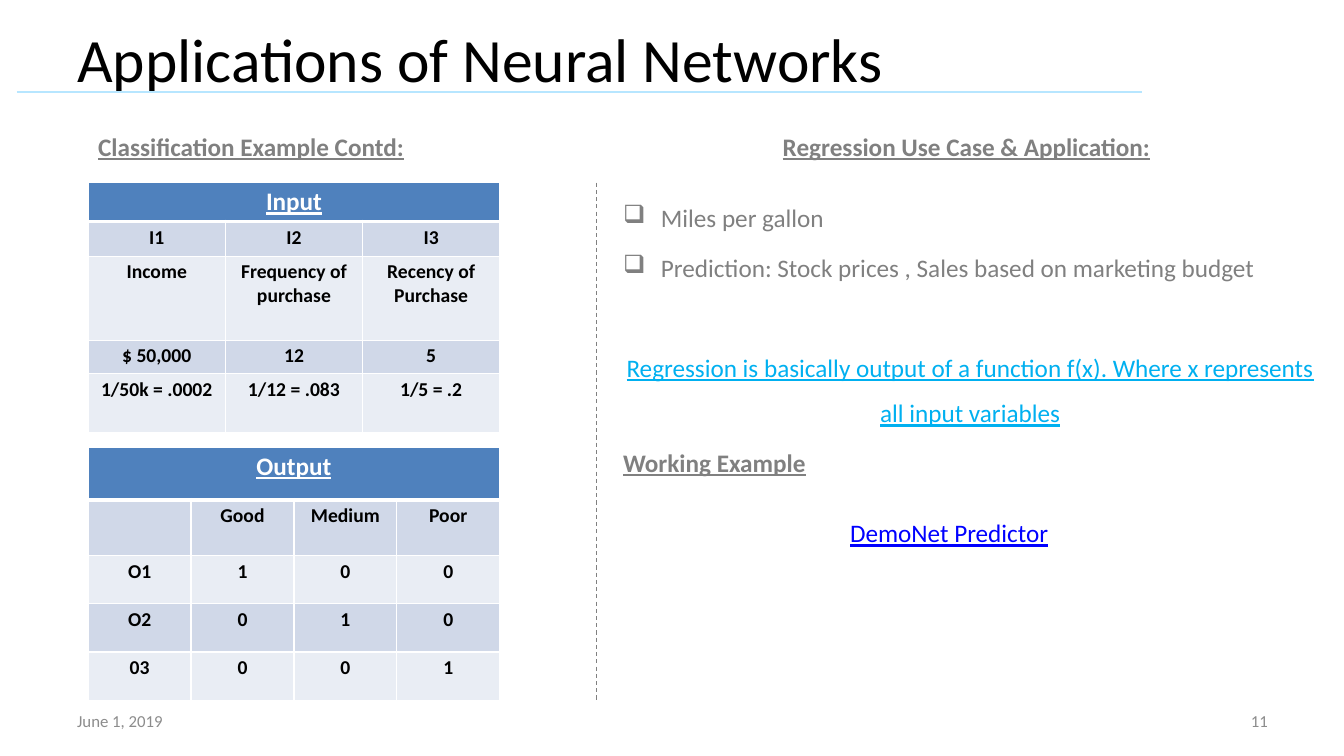
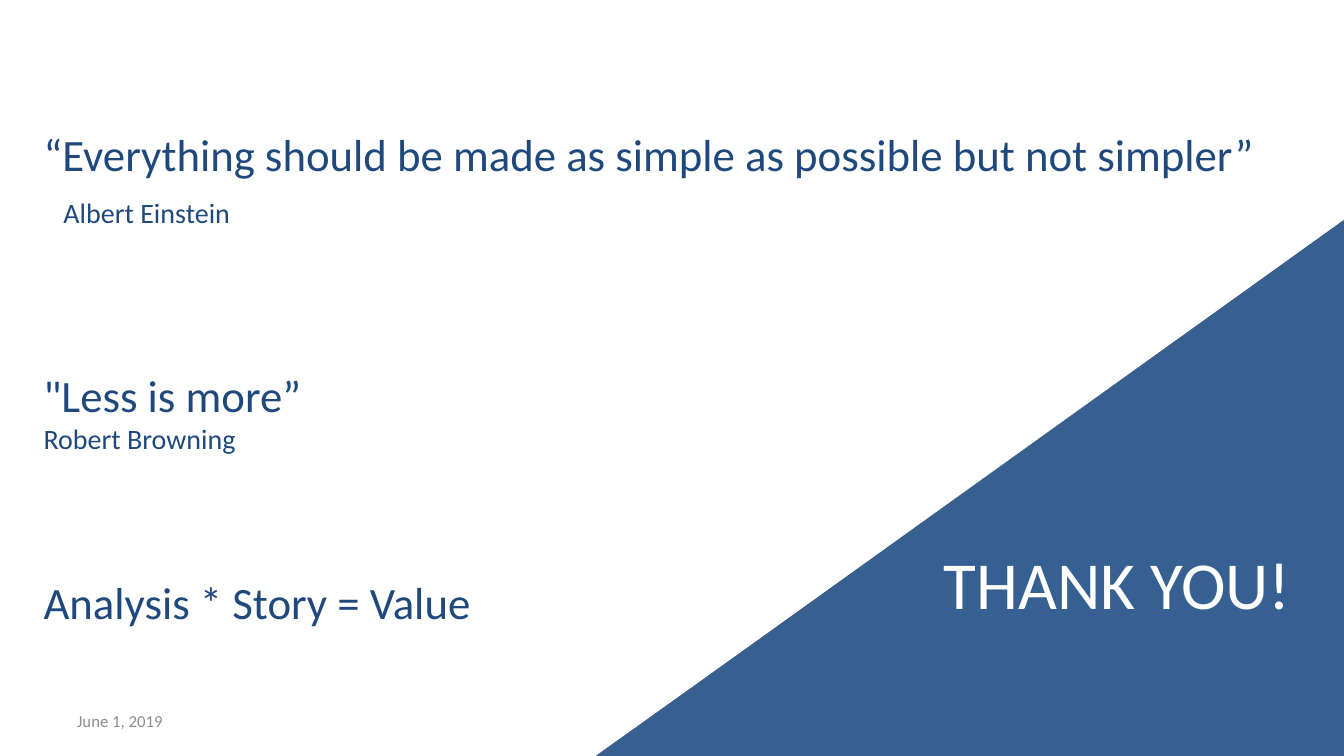
from lxml import etree
from pptx import Presentation
from pptx.dml.color import RGBColor
from pptx.enum.dml import MSO_LINE
from pptx.enum.shapes import MSO_CONNECTOR
from pptx.enum.text import MSO_ANCHOR, PP_ALIGN
from pptx.oxml.ns import qn
from pptx.util import Emu, Pt

LEFT, CENTER, RIGHT = PP_ALIGN.LEFT, PP_ALIGN.CENTER, PP_ALIGN.RIGHT
TOP, MIDDLE = MSO_ANCHOR.TOP, MSO_ANCHOR.MIDDLE
STRAIGHT, DASH = MSO_CONNECTOR.STRAIGHT, MSO_LINE.DASH

FONT = "Calibri"
COLORS = {
    "black": "000000",
    "white": "FFFFFF",
    "grey": "808080",
    "footer": "8C8C8C",
    "rule": "B7E6FF",
    "header": "4F81BD",
    "band_dark": "D0D8E8",
    "band_light": "E9EDF4",
    "highlight": "00B0F0",
    "link": "0000FF",
    "navy": "1F497D",
    "corner": "376092",
    "corner_edge": "3A5F8C",
    "diagonal": "4B7EBC",
}


def px(length):
    return Emu(length * 9525)


def rgb(name):
    return RGBColor.from_string(COLORS[name])


class Deck:
    """Holds the shared style and the slide being built."""

    def __init__(self):
        self.prs = Presentation()
        self.prs.slide_width, self.prs.slide_height = px(1280), px(720)
        self.slide = None

    def new_slide(self, number=None):
        self.slide = self.prs.slides.add_slide(self.prs.slide_layouts[6])
        self.text((64, 667, 299, 38), "June 1, 2019", 12, "footer", anchor=MIDDLE)
        if number:
            self.text((918, 667, 299, 38), number, 12, "footer", RIGHT, MIDDLE)

    def title(self, title):
        self.text((64, 9, 1122, 93), title, 44, "black", anchor=MIDDLE)
        self.line((16, 88), (1088, 88), "rule", 1.5)

    def heading(self, box, heading):
        self.text(box, heading, 18, "grey", bold=True, underline=True)

    def frame(self, box, anchor=TOP):
        frame = self.slide.shapes.add_textbox(*map(px, box)).text_frame
        frame.word_wrap = True
        frame.vertical_anchor = anchor
        return frame

    def text(self, box, text, size, color, align=LEFT, anchor=TOP, **look):
        paragraph = self.frame(box, anchor).paragraphs[0]
        self.set_paragraph(paragraph, text, size, color, align, **look)

    def paragraphs(self, box, items, line_spacing=1.0):
        """Stack paragraphs; each item is a dict of set_paragraph() arguments."""
        frame = self.frame(box)
        for index, item in enumerate(items):
            paragraph = frame.add_paragraph() if index else frame.paragraphs[0]
            paragraph.line_spacing = line_spacing
            self.set_paragraph(paragraph, **item)

    def set_paragraph(self, paragraph, text, size, color, align=LEFT, bold=False,
                      underline=False, before=0, indent=0, bullet=None):
        paragraph.text = text
        paragraph.alignment = align
        paragraph.space_before = Pt(before)
        for run in paragraph.runs:
            font = run.font
            font.name, font.size = FONT, Pt(size)
            font.bold, font.underline = bold, underline
            font.color.rgb = rgb(color)
        properties = paragraph._p.get_or_add_pPr()
        if indent:
            properties.set("marL", str(px(indent)))
        if bullet:
            properties.set("indent", str(-px(indent)))
            etree.SubElement(properties, qn("a:buChar"), char=bullet)

    def line(self, start, end, color, width, dash=None):
        line = self.slide.shapes.add_connector(STRAIGHT, *map(px, start + end))
        line.line.color.rgb = rgb(color)
        line.line.width = Pt(width)
        if dash:
            line.line.dash_style = dash
        etree.SubElement(line._element.spPr, qn("a:effectLst"))

    def polygon(self, points, fill, edge, width):
        first, *rest = [tuple(map(px, point)) for point in points]
        builder = self.slide.shapes.build_freeform(*first)
        builder.add_line_segments(rest, close=True)
        shape = builder.convert_to_shape()
        shape.shadow.inherit = False
        shape.fill.solid()
        shape.fill.fore_color.rgb = rgb(fill)
        shape.line.color.rgb = rgb(edge)
        shape.line.width = Pt(width)

    def table(self, left, top, width, heights, header, rows):
        """Draw a banded table under one header that spans every column."""
        columns = len(rows[0])
        table = self.slide.shapes.add_table(
            len(heights), columns, px(left), px(top), px(width), px(sum(heights))).table
        table.horz_banding = False
        for column in table.columns:
            column.width = px(width) // columns
        for row, height in zip(table.rows, heights):
            row.height = px(height)
        table.cell(0, 0).merge(table.cell(0, columns - 1))
        for r, values in enumerate([[header] + [""] * (columns - 1)] + rows):
            fill = "header" if r == 0 else "band_dark" if r % 2 else "band_light"
            for c, value in enumerate(values):
                cell = table.cell(r, c)
                cell.margin_top = cell.margin_bottom = px(4)
                self.borders(cell, top=3 if r == 1 else 1, bottom=3 if r == 0 else 1)
                cell.fill.solid()
                cell.fill.fore_color.rgb = rgb(fill)
                size, color = (14, "black") if r else (18, "white")
                self.set_paragraph(cell.text_frame.paragraphs[0], value, size, color,
                                   CENTER, bold=True, underline=r == 0)

    def borders(self, cell, top, bottom):
        properties = cell._tc.get_or_add_tcPr()
        for side, width in (("L", 1), ("R", 1), ("T", top), ("B", bottom)):
            border = etree.SubElement(properties, qn("a:ln" + side), w=str(Pt(width)))
            fill = etree.SubElement(border, qn("a:solidFill"))
            etree.SubElement(fill, qn("a:srgbClr"), val=COLORS["white"])


def applications(deck):
    deck.new_slide("11")
    deck.title("Applications of Neural Networks")
    deck.heading((84, 120, 330, 38), "Classification Example Contd:")
    deck.heading((736, 120, 390, 38), "Regression Use Case & Application:")
    deck.table(84, 174, 392, [37, 33, 80, 32, 56], "Input", [
        ["I1", "I2", "I3"],
        ["Income", "Frequency of purchase", "Recency of Purchase"],
        ["$ 50,000", "12", "5"],
        ["1/50k = .0002", "1/12 = .083", "1/5 = .2"],
    ])
    deck.table(84, 426, 392, [50, 53, 46, 46, 46], "Output", [
        ["", "Good", "Medium", "Poor"],
        ["O1", "1", "0", "0"],
        ["O2", "0", "1", "0"],
        ["03", "0", "0", "1"],
    ])
    deck.line((568, 174), (568, 667), "grey", 0.75, DASH)
    body = dict(size=18, color="grey", before=3)
    point = dict(body, indent=36, bullet="❑")
    deck.paragraphs((584, 174, 680, 422), [
        dict(point, text="Miles per gallon"),
        dict(point, text="Prediction: Stock prices , Sales based on marketing budget"),
        dict(text="Regression is basically output of a function f(x). "
                  "Where x represents all input variables",
             size=18, color="highlight", align=CENTER, underline=True, before=39),
        dict(body, text="Working Example", bold=True, underline=True),
    ], line_spacing=1.5)
    deck.text((768, 488, 272, 38), "DemoNet Predictor", 18, "link", CENTER, underline=True)


def closing(deck):
    deck.new_slide()
    quote = dict(size=32, color="navy")
    author = dict(size=20, color="navy")
    deck.paragraphs((32, 116, 1184, 500), [
        dict(quote, text="“Everything should be made as simple as possible but not simpler”"),
        dict(author, text="Albert Einstein", before=11, indent=19),
        dict(quote, text="\"Less is more”", before=99),
        dict(author, text="Robert Browning"),
        dict(quote, text="Analysis * Story = Value", before=85),
    ])
    deck.line((568, 720), (1279, 215), "diagonal", 0.75)
    deck.polygon([(570, 720), (1280, 211), (1280, 720)], "corner", "corner_edge", 2)
    deck.text((864, 512, 400, 87), "THANK YOU!", 48, "white", CENTER)


def main():
    deck = Deck()
    applications(deck)
    closing(deck)
    deck.prs.save("out.pptx")


if __name__ == "__main__":
    main()
